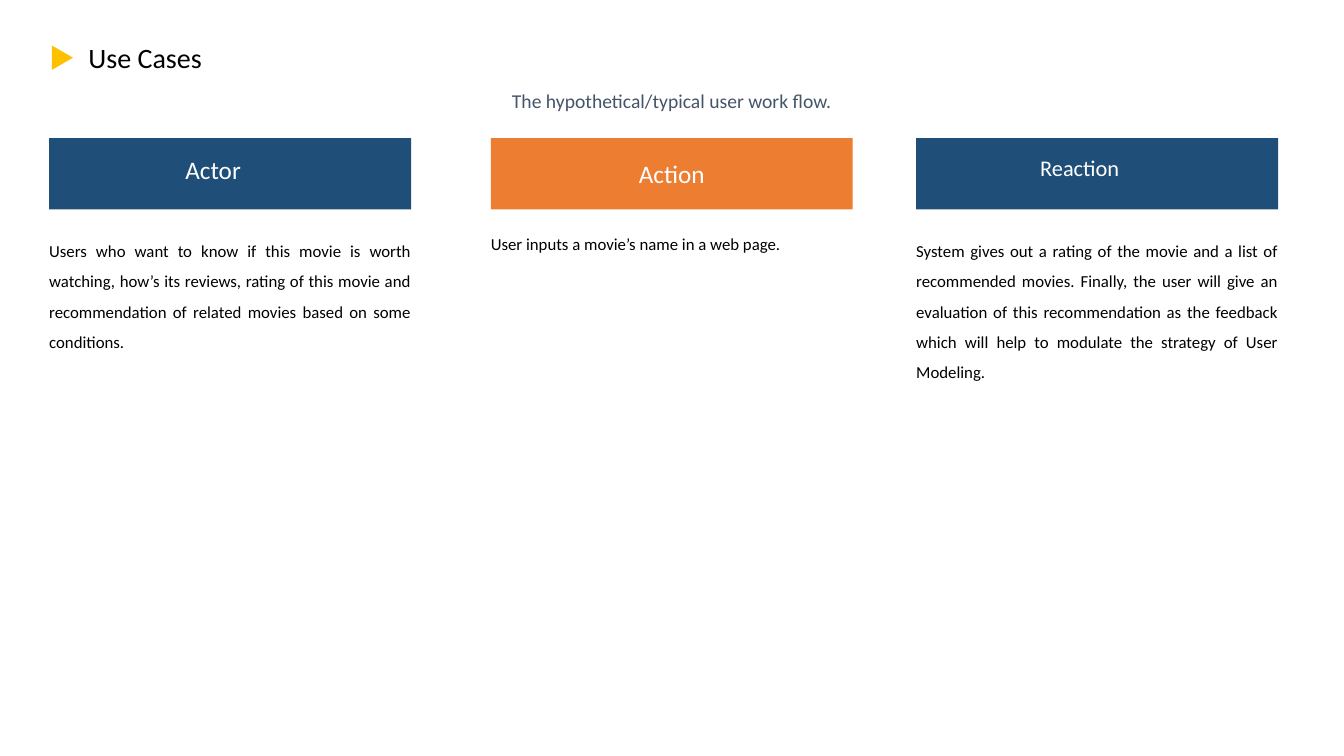
from pptx import Presentation
from pptx.dml.color import RGBColor
from pptx.enum.shapes import MSO_SHAPE as Shape
from pptx.enum.text import MSO_AUTO_SIZE as AutoSize, PP_ALIGN as Align
from pptx.util import Cm, Pt

# Content
TITLE = "Use Cases"
SUBTITLE = "The hypothetical/typical user work flow."
NAVY, ORANGE, AMBER = "1F4E79", "ED7D31", "FFC000"
WHITE, BLACK, SLATE = "FFFFFF", "000000", "44546A"

# Positions and heights in cm; label and body tops differ by column
COLUMNS = [
    dict(left=1.24, fill=NAVY, label="Actor", label_size=18,
         label_at=(3.53, 3.76), body_top=5.69, body_height=3.25,
         body="Users who want to know if this movie is worth watching, "
              "how’s its reviews, rating of this movie and recommendation "
              "of related movies based on some conditions."),
    dict(left=12.37, fill=ORANGE, label="Action", label_size=18,
         label_at=(15.09, 3.86), body_top=5.51, body_height=0.94,
         body="User inputs a movie’s name in a web page."),
    dict(left=23.09, fill=NAVY, label="Reaction", label_size=16,
         label_at=(25.37, 3.76), body_top=5.69, body_height=4.01,
         body="System gives out a rating of the movie and a list of "
              "recommended movies. Finally, the user will give an evaluation "
              "of this recommendation as the feedback which will help to "
              "modulate the strategy of User Modeling."),
]
BAR_TOP, BAR_WIDTH, BAR_HEIGHT = 3.48, 9.12, 1.8
LABEL_WIDTH, LABEL_HEIGHT = 3.68, 1.02

# Frame formats
FLUSH = dict(margin_left=0, margin_right=0)
NO_WRAP = dict(word_wrap=False)


def color(hex_value):
    return RGBColor.from_string(hex_value)


def add_block(slide, kind, box, fill, rotation=0):
    shape = slide.shapes.add_shape(kind, *map(Cm, box))
    shape.shadow.inherit = False
    shape.rotation = rotation
    shape.fill.solid()
    shape.fill.fore_color.rgb = color(fill)
    shape.line.fill.background()


def add_text(slide, box, text, size, text_color, frame_format=None, **paragraph_format):
    frame = slide.shapes.add_textbox(*map(Cm, box)).text_frame
    frame_values = dict(word_wrap=True, auto_size=AutoSize.SHAPE_TO_FIT_TEXT)
    for name, value in (frame_values | (frame_format or {})).items():
        setattr(frame, name, value)
    paragraph = frame.paragraphs[0]
    for name, value in paragraph_format.items():
        setattr(paragraph, name, value)
    run = paragraph.add_run()
    run.text = text
    for name, value in dict(name="Calibri", size=Pt(size)).items():
        setattr(run.font, name, value)
    run.font.color.rgb = color(text_color)


def main():
    presentation = Presentation()
    presentation.slide_width, presentation.slide_height = Cm(33.87), Cm(19.05)
    slide = presentation.slides.add_slide(presentation.slide_layouts[6])

    # Heading
    add_block(slide, Shape.ISOSCELES_TRIANGLE, (1.27, 1.19, 0.61, 0.53), AMBER, 90)
    add_text(slide, (1.98, 0.89, 3.4, 1.12), TITLE, 20, BLACK, NO_WRAP)
    add_text(slide, (5.82, 1.83, 22.22, 1.07), SUBTITLE, 14, SLATE, FLUSH,
             alignment=Align.CENTER, line_spacing=1.5)

    # Columns: bar, label and description
    for column in COLUMNS:
        left = column["left"]
        add_block(slide, Shape.RECTANGLE,
                  (left, BAR_TOP, BAR_WIDTH, BAR_HEIGHT), column["fill"])
        add_text(slide, (*column["label_at"], LABEL_WIDTH, LABEL_HEIGHT),
                 column["label"], column["label_size"], WHITE, alignment=Align.CENTER)
        add_text(slide, (left, column["body_top"], BAR_WIDTH, column["body_height"]),
                 column["body"], 12, BLACK, FLUSH,
                 alignment=Align.JUSTIFY, line_spacing=1.5)

    presentation.save("out.pptx")


if __name__ == "__main__":
    main()
